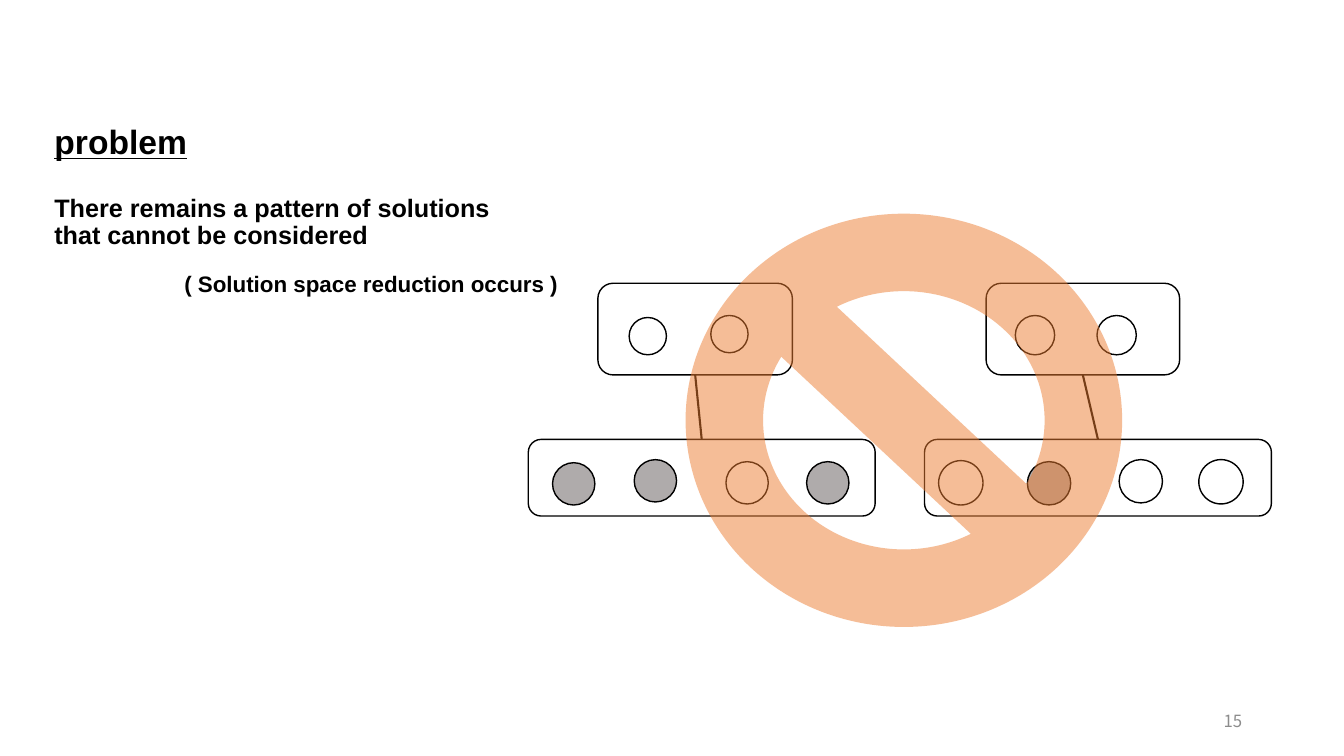
from dataclasses import dataclass

import pptx
import pptx.dml.color
import pptx.enum.shapes
import pptx.enum.text
import pptx.oxml.ns
import pptx.oxml.xmlchemy
import pptx.util
from pptx.util import Inches

COLORS = {
    "ink": "000000",
    "empty": "FFFFFF",
    "filled": "AFABAB",
    "ban": "ED7D31",
    "number": "8C8C8C",
}
SHAPES = pptx.enum.shapes.MSO_SHAPE
ALIGN = pptx.enum.text.PP_ALIGN
ANCHOR = pptx.enum.text.MSO_ANCHOR


@dataclass(frozen=True)
class Area:
    left: float
    top: float
    width: float
    height: float

    def lengths(self) -> list:
        return [Inches(v) for v in (self.left, self.top, self.width, self.height)]


@dataclass(frozen=True)
class Item:
    left: float
    top: float
    size: float
    color: str = "empty"


@dataclass(frozen=True)
class Group:
    area: Area
    items: tuple


@dataclass(frozen=True)
class Tree:
    parent: Group
    child: Group


@dataclass(frozen=True)
class Label:
    text: str
    area: Area
    size: int
    spacing: float = 0.9
    font: str = "Arial"
    color: str = "ink"
    bold: bool = True
    underline: bool = False
    align: ALIGN = ALIGN.LEFT
    anchor: ANCHOR = ANCHOR.TOP


HEADING = Label("problem", Area(0.44, 1.23, 3.11, 0.43), 24, spacing=0.8, underline=True)
LABELS = (
    Label("There remains a pattern of solutions that cannot be considered",
          Area(0.44, 1.89, 4.81, 0.74), 18),
    Label("( Solution space reduction occurs )", Area(1.73, 2.66, 3.99, 0.43), 16),
    Label("15", Area(9.42, 6.95, 3, 0.4), 12, spacing=1.0, font="Noto Sans CJK JP",
          color="number", bold=False, align=ALIGN.RIGHT, anchor=ANCHOR.MIDDLE),
)
TREES = (
    Tree(
        Group(Area(5.93, 2.81, 1.93, 0.91),
              (Item(6.24, 3.15, 0.37), Item(7.05, 3.13, 0.37))),
        Group(Area(5.24, 4.36, 3.44, 0.76),
              (Item(5.48, 4.59, 0.42, "filled"), Item(6.29, 4.56, 0.42, "filled"),
               Item(7.2, 4.58, 0.42), Item(8, 4.58, 0.42, "filled"))),
    ),
    Tree(
        Group(Area(9.78, 2.81, 1.92, 0.91),
              (Item(10.07, 3.13, 0.39), Item(10.88, 3.13, 0.39))),
        Group(Area(9.17, 4.36, 3.44, 0.76),
              (Item(9.31, 4.57, 0.44), Item(10.19, 4.58, 0.43, "filled"),
               Item(11.1, 4.56, 0.43), Item(11.89, 4.56, 0.44))),
    ),
)
BAN_AREA = Area(6.8, 2.12, 4.33, 4.1)


def rgb(name: str) -> pptx.dml.color.RGBColor:
    return pptx.dml.color.RGBColor.from_string(COLORS[name])


def write_label(holder, label: Label) -> None:
    holder.left, holder.top, holder.width, holder.height = label.area.lengths()
    frame = holder.text_frame
    frame.word_wrap = True
    frame.auto_size = pptx.enum.text.MSO_AUTO_SIZE.NONE
    frame.vertical_anchor = label.anchor
    paragraph = frame.paragraphs[0]
    paragraph.alignment = label.align
    paragraph.line_spacing = label.spacing
    run = paragraph.add_run()
    run.text = label.text
    run.font.name = label.font
    run.font.size = pptx.util.Pt(label.size)
    run.font.bold = label.bold
    run.font.underline = label.underline
    run.font.color.rgb = rgb(label.color)


def add_outline(slide, kind: SHAPES, area: Area, color: str | None = None):
    outline = slide.shapes.add_shape(kind, *area.lengths())
    outline.shadow.inherit = False
    if color is None:
        outline.fill.background()
    else:
        outline.fill.solid()
        outline.fill.fore_color.rgb = rgb(color)
    outline.line.color.rgb = rgb("ink")
    outline.line.width = pptx.util.Pt(1)
    return outline


def add_group(slide, group: Group):
    box = add_outline(slide, SHAPES.ROUNDED_RECTANGLE, group.area)
    for item in group.items:
        area = Area(item.left, item.top, item.size, item.size)
        add_outline(slide, SHAPES.OVAL, area, item.color)
    return box


def add_tree(slide, tree: Tree) -> None:
    parent = add_group(slide, tree.parent)
    child = add_group(slide, tree.child)
    branch = slide.shapes.add_connector(pptx.enum.shapes.MSO_CONNECTOR.STRAIGHT, 0, 0, 0, 0)
    branch.begin_connect(parent, 2)
    branch.end_connect(child, 0)
    branch.line.color.rgb = rgb("ink")
    branch.line.width = pptx.util.Pt(1.5)
    branch.element.spPr.append(pptx.oxml.xmlchemy.OxmlElement("a:effectLst"))


def add_ban(slide) -> None:
    ban = add_outline(slide, SHAPES.NO_SYMBOL, BAN_AREA, "ban")
    ban.line.fill.background()
    tint = ban.element.spPr.find(".//" + pptx.oxml.ns.qn("a:srgbClr"))
    alpha = pptx.oxml.xmlchemy.OxmlElement("a:alpha")
    alpha.set("val", "50000")
    tint.append(alpha)


def main() -> None:
    deck = pptx.Presentation()
    deck.slide_width = Inches(13.33)
    deck.slide_height = Inches(7.5)
    slide = deck.slides.add_slide(deck.slide_layouts.get_by_name("Title Only"))
    write_label(slide.shapes.title, HEADING)
    for label in LABELS:
        write_label(slide.shapes.add_textbox(*label.area.lengths()), label)
    for tree in TREES:
        add_tree(slide, tree)
    add_ban(slide)
    deck.save("out.pptx")


if __name__ == "__main__":
    main()
